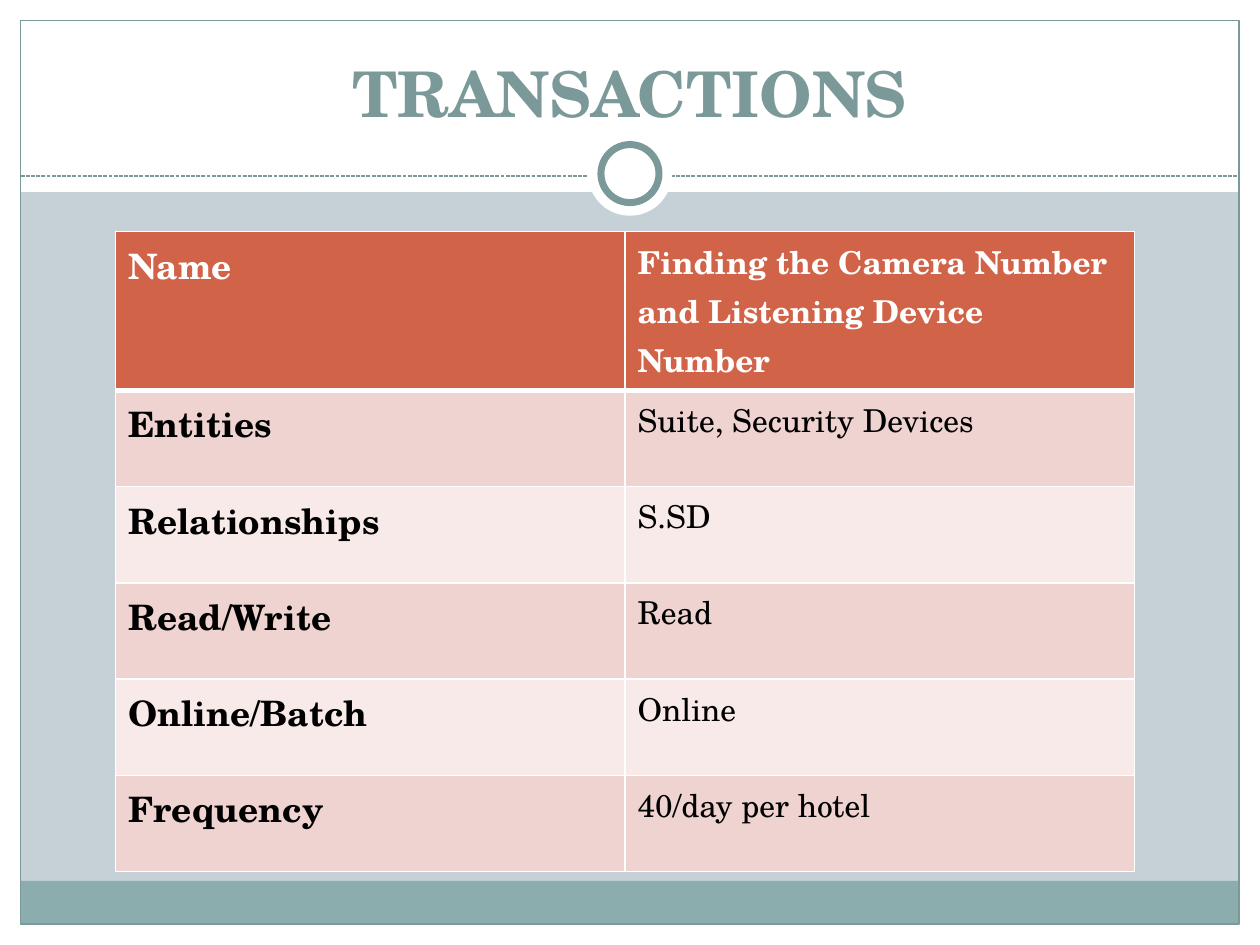
"""Build the TRANSACTIONS slide: a framed page with a ring ornament and a two-column table."""
import pptx
import pptx.dml.color
import pptx.enum.dml
import pptx.enum.shapes
import pptx.enum.text
import pptx.oxml
import pptx.oxml.ns
import pptx.util

Cm = pptx.util.Cm
Pt = pptx.util.Pt
SHAPES = pptx.enum.shapes.MSO_SHAPE

FONT = "TeX Gyre Schola"
COLORS = {
    "background": "C5D1D7", "white": "FFFFFF", "footer": "8CADAE", "accent": "7C999A",
    "header": "D16349", "band_dark": "EED3D0", "band_light": "F7EAE9", "black": "000000",
}
TITLE = "TRANSACTIONS"
ROWS = [
    ("Name", "Finding the Camera Number and Listening Device Number"),
    ("Entities", "Suite, Security Devices"),
    ("Relationships", "S.SD"),
    ("Read/Write", "Read"),
    ("Online/Batch", "Online"),
    ("Frequency", "40/day per hotel"),
]
WIDTH, HEIGHT, MARGIN = 25.4, 19.05, 0.42
INNER_WIDTH, INNER_HEIGHT = WIDTH - 2 * MARGIN, HEIGHT - 2 * MARGIN
FOOTER_HEIGHT = 0.87
RULE_TOP = 3.55
RING_CENTER = (WIDTH / 2, 3.5)
TABLE_LEFT, TABLE_TOP, COLUMN_WIDTH = 2.33, 4.67, 10.27
HEADER_HEIGHT, ROW_HEIGHT = 3.2, 1.94

PANELS = [
    ((0, HEIGHT - MARGIN, WIDTH, MARGIN), "white", None),
    ((0, 0, WIDTH, 3.87), "white", None),
    ((0, 0, MARGIN, HEIGHT), "white", None),
    ((WIDTH - MARGIN, 0, MARGIN, HEIGHT), "white", None),
    ((MARGIN, HEIGHT - MARGIN - FOOTER_HEIGHT, INNER_WIDTH, FOOTER_HEIGHT), "footer", None),
    ((MARGIN, MARGIN, INNER_WIDTH, INNER_HEIGHT), None, 0.75),
]
CIRCLES = [(1.7, None), (1.17, 4)]


def rgb(name):
    return pptx.dml.color.RGBColor.from_string(COLORS[name])


def paint(fill, color):
    fill.solid()
    fill.fore_color.rgb = rgb(color)


def add_panel(page, kind, place, color, line_width):
    panel = page.shapes.add_shape(kind, *map(Cm, place))
    panel.shadow.inherit = False
    if color:
        paint(panel.fill, color)
    else:
        panel.fill.background()
    if line_width:
        panel.line.color.rgb = rgb("accent")
        panel.line.width = Pt(line_width)
    else:
        panel.line.fill.background()


def add_rule(page):
    rule = page.shapes.add_connector(
        pptx.enum.shapes.MSO_CONNECTOR.STRAIGHT,
        Cm(MARGIN), Cm(RULE_TOP), Cm(WIDTH - MARGIN), Cm(RULE_TOP))
    rule.line.color.rgb = rgb("accent")
    rule.line.width = Pt(0.75)
    rule.line.dash_style = pptx.enum.dml.MSO_LINE.SQUARE_DOT
    rule._element.spPr.append(pptx.oxml.parse_xml(
        f"<a:effectLst {pptx.oxml.ns.nsdecls('a')}/>"))


def write(para, text, size, color, bold):
    span = para.add_run()
    span.text = text
    span.font.name = FONT
    span.font.size = Pt(size)
    span.font.bold = bold
    span.font.color.rgb = rgb(color)


def add_title(page):
    box = page.shapes.add_textbox(Cm(0.84), Cm(0.64), Cm(23.7), Cm(2.11))
    frame = box.text_frame
    frame.word_wrap = True
    frame.vertical_anchor = pptx.enum.text.MSO_ANCHOR.BOTTOM
    para = frame.paragraphs[0]
    para.alignment = pptx.enum.text.PP_ALIGN.CENTER
    write(para, TITLE, 36, "accent", True)


def add_borders(cell, widths):
    properties = cell._tc.get_or_add_tcPr()
    for side, width in widths.items():
        properties.append(pptx.oxml.parse_xml(
            f'<a:ln{side} {pptx.oxml.ns.nsdecls("a")} w="{Pt(width)}"><a:solidFill>'
            f'<a:srgbClr val="{COLORS["white"]}"/></a:solidFill></a:ln{side}>'))


def add_transaction_table(page):
    heights = [HEADER_HEIGHT] + [ROW_HEIGHT] * (len(ROWS) - 1)
    table = page.shapes.add_table(
        len(ROWS), 2, Cm(TABLE_LEFT), Cm(TABLE_TOP),
        Cm(2 * COLUMN_WIDTH), Cm(sum(heights))).table
    for column in table.columns:
        column.width = Cm(COLUMN_WIDTH)
    for row_index, texts in enumerate(ROWS):
        table.rows[row_index].height = Cm(heights[row_index])
        is_header = row_index == 0
        band = "band_dark" if row_index % 2 else "band_light"
        for column_index, text in enumerate(texts):
            is_label = column_index == 0
            cell = table.cell(row_index, column_index)
            add_borders(cell, {"L": 1, "R": 1, "T": 3 if row_index == 1 else 1,
                               "B": 3 if is_header else 1})
            paint(cell.fill, "header" if is_header else band)
            write(cell.text_frame.paragraphs[0], text, 20 if is_label else 18,
                  "white" if is_header else "black", is_header or is_label)


def main():
    deck = pptx.Presentation()
    deck.slide_width, deck.slide_height = Cm(WIDTH), Cm(HEIGHT)
    page = deck.slides.add_slide(deck.slide_layouts[6])
    paint(page.background.fill, "background")
    for place, color, line_width in PANELS:
        add_panel(page, SHAPES.RECTANGLE, place, color, line_width)
    add_rule(page)
    for size, line_width in CIRCLES:
        left, top = (center - size / 2 for center in RING_CENTER)
        add_panel(page, SHAPES.OVAL, (left, top, size, size), "white", line_width)
    add_title(page)
    add_transaction_table(page)
    deck.save("out.pptx")


if __name__ == "__main__":
    main()
